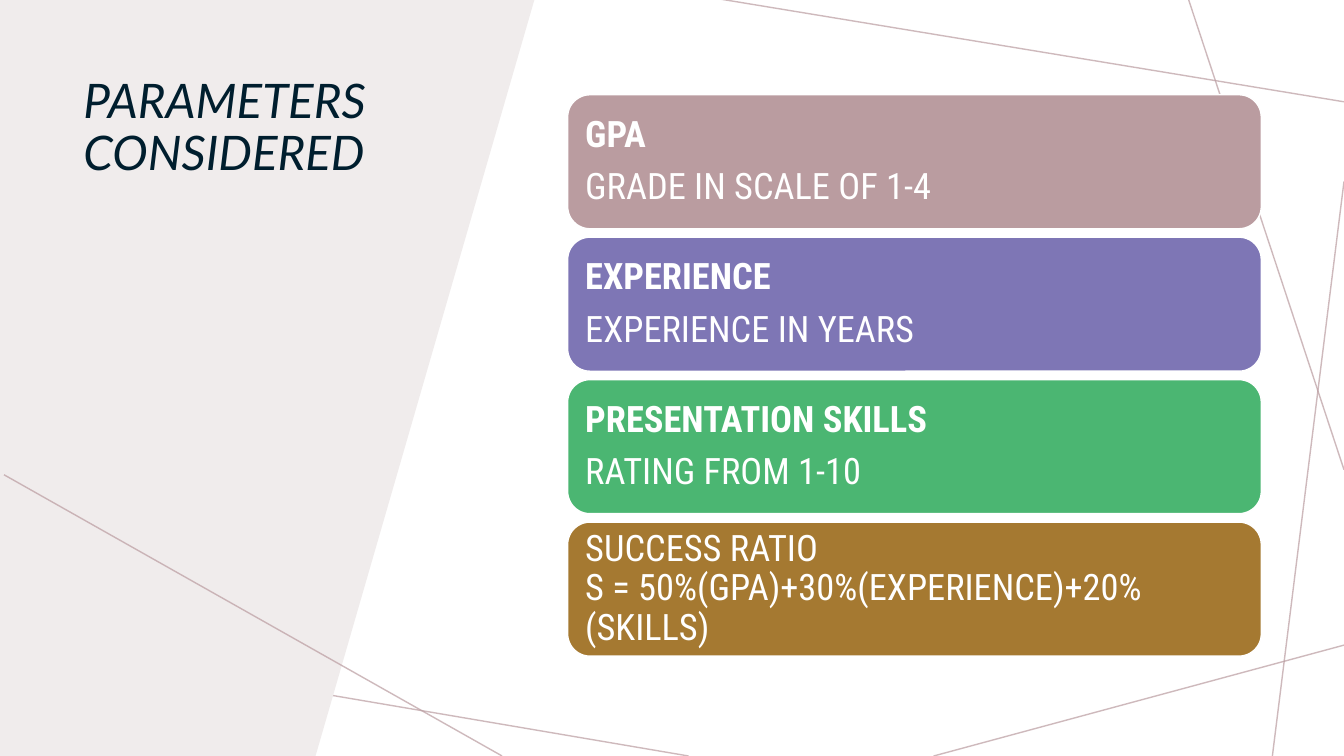
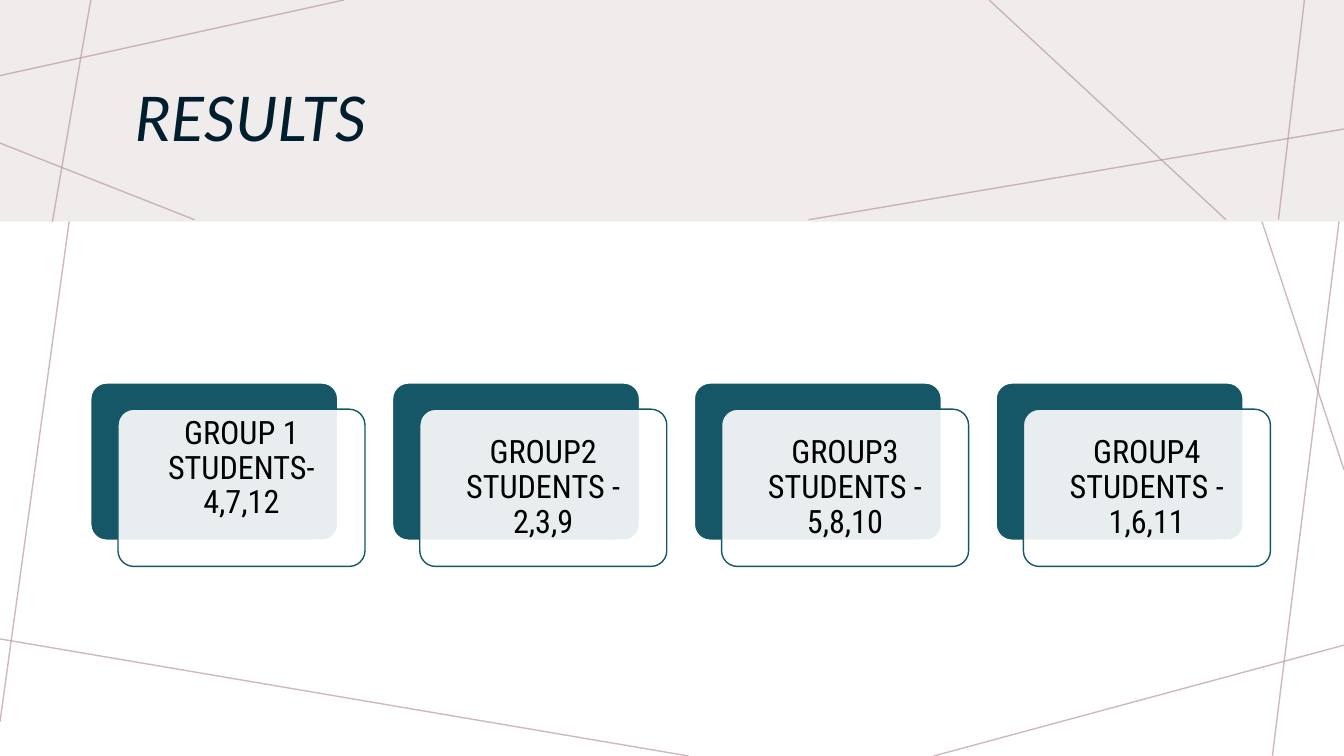
"""Build two slides on grading parameters and the resulting student groups."""
from typing import NamedTuple, Optional

from lxml.etree import SubElement
from pptx import Presentation
from pptx.dml.color import RGBColor
from pptx.enum.shapes import MSO_CONNECTOR, MSO_SHAPE
from pptx.enum.text import MSO_ANCHOR, PP_ALIGN
from pptx.oxml.ns import qn
from pptx.util import Inches, Pt

WIDTH, HEIGHT = 13.33, 7.5
WHITE, BLACK, PANEL = "FFFFFF", "000000", "F0ECEC"
NAVY, ROSE, TEAL = "001E2E", "BA9CA0", "155767"
TITLE_FONT, BODY_FONT = "Lato", "Roboto Condensed"


class Stroke(NamedTuple):
    """A thin decorative line between two points, in inches."""
    x1: float
    y1: float
    x2: float
    y2: float


class Area(NamedTuple):
    """A rectangle on the page, in inches."""
    left: float
    top: float
    width: float
    height: float


class Card(NamedTuple):
    """A parameter card with an optional bold heading."""
    color: str
    heading: Optional[str]
    body: str


class Group(NamedTuple):
    """A group of students and the room kept free below its text."""
    text: str
    bottom: float = 0.1


BACKGROUND_STROKES = [
    Stroke(3.41, 0, 0, 0.75),
    Stroke(0.99, 0, 0, 7.16),
    Stroke(6.83, 7.5, -0.05, 6.33),
    Stroke(13.33, 6.4, 9.26, 7.5),
    Stroke(13.33, 1.8, 12.62, 7.5),
    Stroke(13.33, 4.66, 11.79, 0),
    Stroke(13.33, 1.01, 7.14, -0.01),
]
BAND_STROKES = [
    Stroke(3.41, 0, 0, 0.75),
    Stroke(0.9, 0, 0.52, 2.2),
    Stroke(1.93, 2.18, 0, 1.42),
    Stroke(13.33, 1.28, 8.02, 2.18),
    Stroke(12.16, 2.18, 9.81, 0),
    Stroke(12.94, -0.02, 12.68, 2.18),
]
CARDS = [
    Card(ROSE, "GPA", "GRADE IN SCALE OF 1-4"),
    Card("7E76B5", "EXPERIENCE", "EXPERIENCE IN YEARS"),
    Card("4BB672", "PRESENTATION SKILLS", "RATING FROM 1-10"),
    Card("A57931", None, "SUCCESS RATIO\nS = 50%(GPA)+30%(EXPERIENCE)+20%(SKILLS)"),
]
GROUPS = [
    Group("GROUP 1\nSTUDENTS- 4,7,12", bottom=0.48),
    Group("GROUP2\nSTUDENTS - 2,3,9"),
    Group("GROUP3\nSTUDENTS - 5,8,10"),
    Group("GROUP4\nSTUDENTS - 1,6,11"),
]


def paint(color_format, color: str, opacity: int = 100) -> None:
    """Set a fill's or line's solid colour and its opacity in percent."""
    color_format.solid()
    color_format.fore_color.rgb = RGBColor.from_string(color)
    if opacity < 100:
        choice = color_format._xPr.find(qn("a:solidFill"))[0]
        SubElement(choice, qn("a:alpha")).set("val", str(opacity * 1000))


def add_strokes(page, strokes: list[Stroke]) -> None:
    """Draw translucent decorative lines."""
    for stroke in strokes:
        connector = page.shapes.add_connector(
            MSO_CONNECTOR.STRAIGHT, *(Inches(value) for value in stroke))
        connector.line.width = Pt(1)
        paint(connector.line.fill, ROSE, 70)
        SubElement(connector._element.spPr, qn("a:effectLst"))


def add_box(page, kind, area: Area, fill: str, outline: Optional[str] = None,
            opacity: int = 100, corner: Optional[float] = None):
    """Add a preset shape with a fill and an optional outline."""
    box = page.shapes.add_shape(kind, *(Inches(value) for value in area))
    box.shadow.inherit = False
    paint(box.fill, fill, opacity)
    if outline:
        paint(box.line.fill, outline)
        box.line.width = Pt(1)
    else:
        box.line.fill.background()
    if corner is not None:
        box.adjustments[0] = corner
    return box


def set_insets(frame, inset: float, bottom: float) -> None:
    """Set equal insets on three sides and a separate one at the bottom."""
    frame.margin_left = frame.margin_top = frame.margin_right = Inches(inset)
    frame.margin_bottom = Inches(bottom)
    frame.word_wrap = True
    frame.vertical_anchor = MSO_ANCHOR.MIDDLE


def write(para, text: str, size: float, color: str, font: str = BODY_FONT,
          bold: bool = False, italic: bool = False, align=PP_ALIGN.LEFT) -> None:
    """Fill a paragraph and format its runs."""
    para.text = text
    para.alignment = align
    para.line_spacing = 0.9
    for span in para.runs:
        span.font.name = font
        span.font.size = Pt(size)
        span.font.bold = bold
        span.font.italic = italic
        span.font.color.rgb = RGBColor.from_string(color)


def add_title(page, text: str, area: Area, size: float, anchor) -> None:
    """Add an italic slide title."""
    box = page.shapes.add_textbox(*(Inches(value) for value in area))
    frame = box.text_frame
    frame.word_wrap = True
    frame.vertical_anchor = anchor
    write(frame.paragraphs[0], text, size, NAVY, TITLE_FONT, italic=True)


def add_page(deck):
    """Add a blank page with the shared background lines."""
    page = deck.slides.add_slide(deck.slide_layouts[6])
    paint(page.background.fill, WHITE)
    add_strokes(page, BACKGROUND_STROKES)
    return page


def add_side_panel(page) -> None:
    """Draw the slanted panel on the left."""
    corners = [(Inches(x), Inches(y)) for x, y in
               [(0, 0), (5.3, 0), (3.13, HEIGHT), (0, HEIGHT)]]
    builder = page.shapes.build_freeform(*corners[0])
    builder.add_line_segments(corners[1:], close=True)
    panel = builder.convert_to_shape()
    panel.shadow.inherit = False
    paint(panel.fill, PANEL)
    panel.line.fill.background()


def add_card(page, card: Card, top: float) -> None:
    """Draw one parameter card."""
    box = add_box(page, MSO_SHAPE.ROUNDED_RECTANGLE,
                  Area(5.63, top, 6.88, 1.33), card.color, WHITE)
    frame = box.text_frame
    set_insets(frame, 0.11, 0.11)
    para = frame.paragraphs[0]
    if card.heading:
        write(para, card.heading, 26, WHITE, bold=True)
        para.space_after = Pt(9.7)
        para = frame.add_paragraph()
    write(para, card.body, 26, WHITE)


def add_group(page, group: Group, left: float) -> None:
    """Draw one student group as a translucent box over a solid one."""
    back = Area(left, 3.8, 2.45, 1.56)
    front = back._replace(left=left + 0.27, top=4.06)
    add_box(page, MSO_SHAPE.ROUNDED_RECTANGLE, back, TEAL, WHITE, corner=0.1)
    box = add_box(page, MSO_SHAPE.ROUNDED_RECTANGLE, front, WHITE, TEAL, 90, 0.1)
    set_insets(box.text_frame, 0.1, group.bottom)
    write(box.text_frame.paragraphs[0], group.text, 23, BLACK, align=PP_ALIGN.CENTER)


def build_parameters(deck) -> None:
    """Build the page of considered parameters."""
    page = add_page(deck)
    add_side_panel(page)
    add_title(page, "PARAMETERS CONSIDERED", Area(0.73, 0.72, 3.53, 3.9), 34,
              MSO_ANCHOR.TOP)
    add_strokes(page, [Stroke(0.04, 4.71, 4.98, 7.5)])
    for index, card in enumerate(CARDS):
        add_card(page, card, 0.94 + index * 4.24 / 3)


def build_results(deck) -> None:
    """Build the page of resulting groups."""
    page = add_page(deck)
    add_box(page, MSO_SHAPE.RECTANGLE, Area(0, 0, WIDTH, 2.2), PANEL)
    add_strokes(page, BAND_STROKES)
    add_title(page, "RESULTS", Area(1.24, 0.54, 11.01, 1.34), 44,
              MSO_ANCHOR.MIDDLE)
    for index, group in enumerate(GROUPS):
        add_group(page, group, 0.9 + index * 8.98 / 3)


def main() -> None:
    """Build and save the deck."""
    deck = Presentation()
    deck.slide_width = Inches(WIDTH)
    deck.slide_height = Inches(HEIGHT)
    build_parameters(deck)
    build_results(deck)
    deck.save("out.pptx")


if __name__ == "__main__":
    main()
